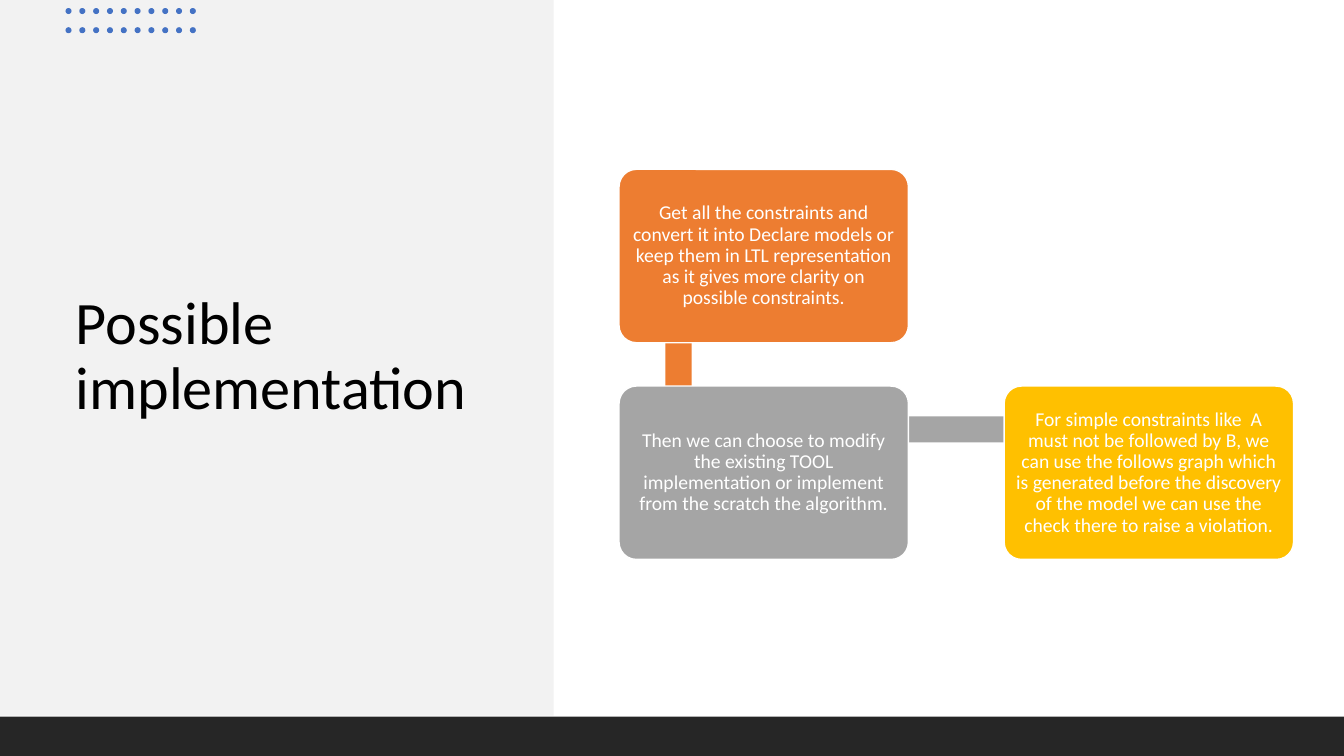
from pptx import Presentation
from pptx.dml.color import RGBColor
from pptx.enum.shapes import MSO_SHAPE
from pptx.enum.text import MSO_ANCHOR, MSO_AUTO_SIZE, PP_ALIGN
from pptx.util import Inches, Pt

RECT, ROUNDED, DOT = MSO_SHAPE.RECTANGLE, MSO_SHAPE.ROUNDED_RECTANGLE, MSO_SHAPE.OVAL
LEFT, CENTER = PP_ALIGN.LEFT, PP_ALIGN.CENTER
MIDDLE = MSO_ANCHOR.MIDDLE
NO_AUTOFIT = MSO_AUTO_SIZE.NONE

FONT = "Calibri"
COLORS = {
    "panel": "F2F2F2",
    "footer": "262626",
    "dots": "4472C4",
    "constraints": "ED7D31",
    "algorithm": "A5A5A5",
    "simple": "FFC000",
    "black": "000000",
    "white": "FFFFFF",
}

CARD_W, CARD_H = 2.87, 1.72
COLUMNS = (6.14, 9.96)
ROWS = (1.68, 3.83)
LINK = 0.26
STEPS = [
    ("constraints", 0, 0,
     "Get all the constraints and convert it into Declare models or keep them in LTL "
     "representation as it gives more clarity on possible constraints."),
    ("algorithm", 0, 1,
     "Then we can choose to modify the existing TOOL implementation or implement "
     "from the scratch the algorithm."),
    ("simple", 1, 1,
     "For simple constraints like  A must not be followed by B, we can use the follows "
     "graph which is generated before the discovery of the model we can use the check "
     "there to raise a violation."),
]


def rgb(name):
    return RGBColor.from_string(COLORS[name])


def write(shape, text, *, size, color, align, inset):
    """Fill a shape with one vertically centred paragraph; inset is in inches."""
    frame = shape.text_frame
    frame.word_wrap = True
    frame.auto_size = NO_AUTOFIT
    frame.vertical_anchor = MIDDLE
    frame.margin_left = frame.margin_right = Inches(inset)
    frame.margin_top = frame.margin_bottom = Inches(inset)
    paragraph = frame.paragraphs[0]
    paragraph.alignment = align
    paragraph.line_spacing = 0.9
    run = paragraph.add_run()
    run.text = text
    run.font.name = FONT
    run.font.size = Pt(size)
    run.font.color.rgb = rgb(color)


class SlideBuilder:
    def __init__(self, slide):
        self.slide = slide

    def block(self, kind, left, top, width, height, color):
        block = self.slide.shapes.add_shape(
            kind, Inches(left), Inches(top), Inches(width), Inches(height))
        block.shadow.inherit = False
        block.fill.solid()
        block.fill.fore_color.rgb = rgb(color)
        block.line.fill.background()
        return block

    def title(self, text, left, top, width, height):
        title = self.slide.shapes.title
        title.left, title.top = Inches(left), Inches(top)
        title.width, title.height = Inches(width), Inches(height)
        write(title, text, size=43, color="black", align=LEFT, inset=0.1)

    def side_panel(self):
        """Draw the left panel behind the title."""
        panel = self.block(RECT, 0, 0, 5.49, 7.1, "panel")
        self.slide.shapes.title.element.addprevious(panel.element)

    def dot_grid(self, left, top, columns, rows):
        for row in range(rows):
            for column in range(columns):
                self.block(DOT, left + column * 0.137, top + row * 0.19,
                           0.06, 0.06, "dots")

    def card(self, left, top, text, color):
        card = self.block(ROUNDED, left, top, CARD_W, CARD_H, color)
        card.adjustments[0] = 0.1
        card.line.color.rgb = rgb("white")
        card.line.width = Pt(1)
        write(card, text, size=14, color="white", align=CENTER, inset=0.06)


def main():
    deck = Presentation()
    deck.slide_width, deck.slide_height = Inches(13.33), Inches(7.5)
    builder = SlideBuilder(deck.slides.add_slide(deck.slide_layouts[5]))

    builder.title("Possible implementation", 0.65, 1.32, 4.24, 4.45)
    builder.side_panel()
    builder.dot_grid(0.65, 0.08, columns=10, rows=2)
    builder.block(RECT, 0, 7.11, 13.33, 0.39, "footer")

    # The cards cover the ends of both links.
    builder.block(RECT, 6.6, 2.12, LINK, 2.13, "constraints")
    builder.block(RECT, 6.73, 4.13, 3.8, LINK, "algorithm")
    for color, column, row, text in STEPS:
        builder.card(COLUMNS[column], ROWS[row], text, color)

    deck.save("out.pptx")


if __name__ == "__main__":
    main()
